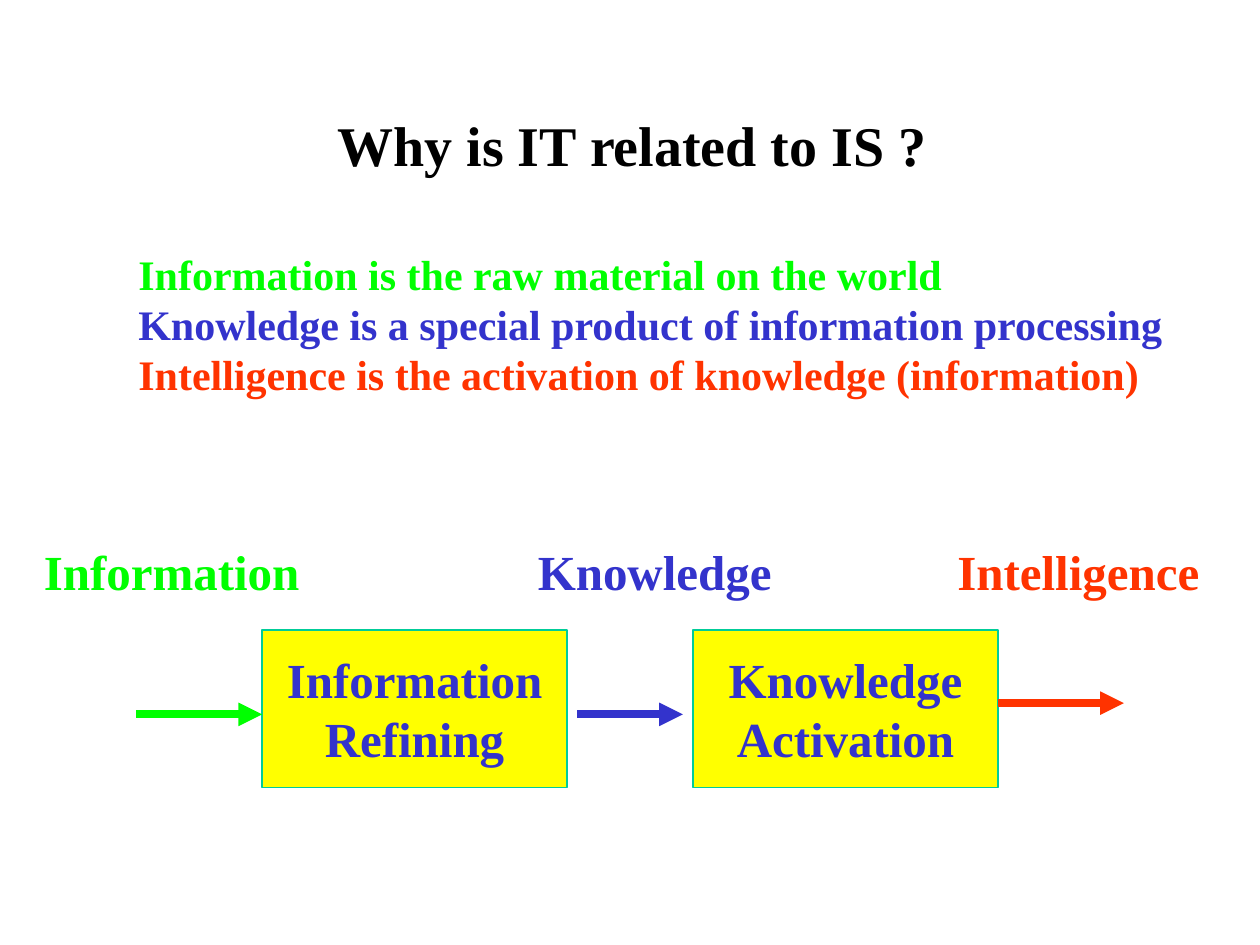
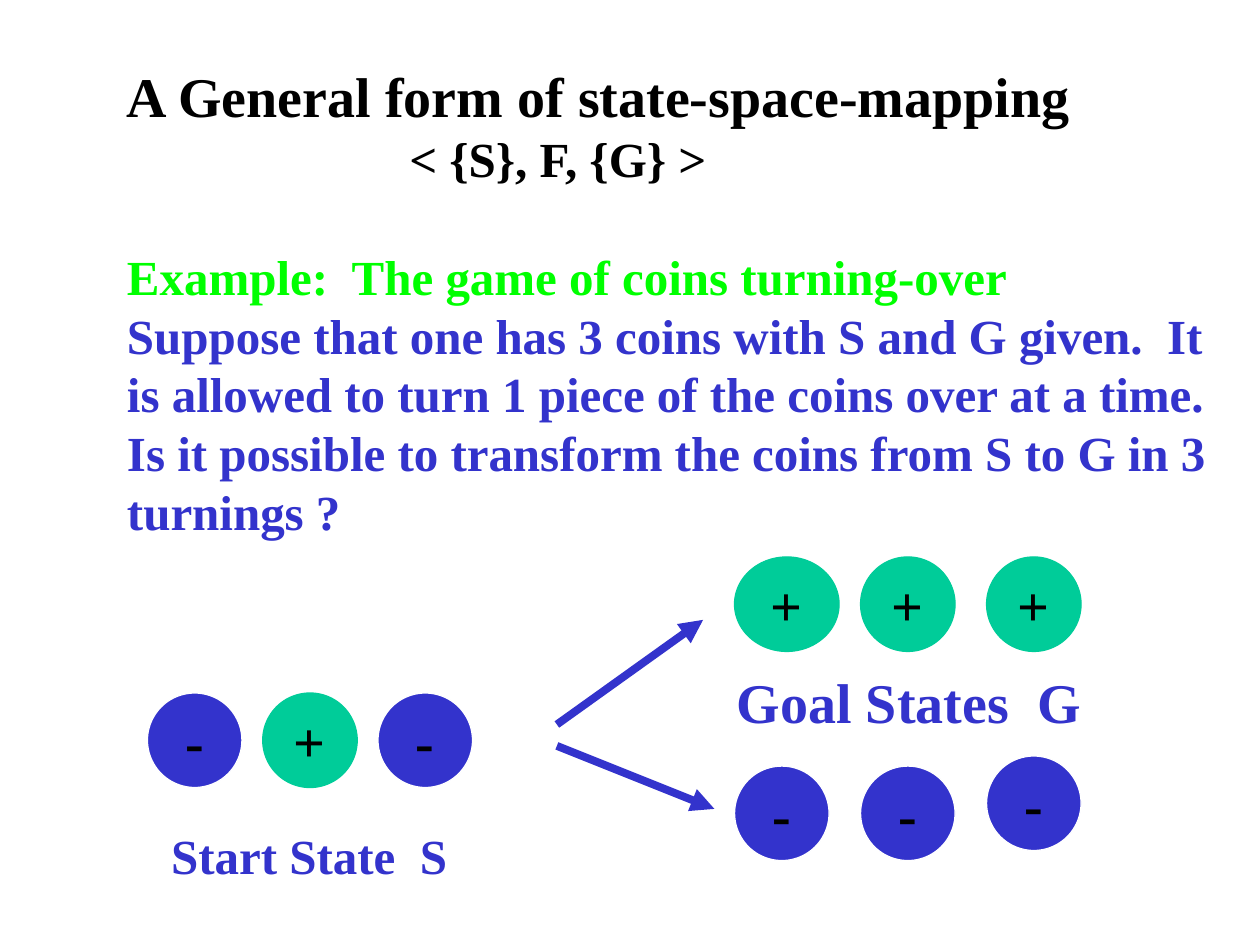
from dataclasses import dataclass

from lxml import etree
from pptx import Presentation
from pptx.dml.color import RGBColor
from pptx.enum.shapes import MSO_CONNECTOR, MSO_SHAPE
from pptx.enum.text import MSO_ANCHOR, MSO_AUTO_SIZE, PP_ALIGN
from pptx.oxml.ns import qn
from pptx.util import Inches, Pt

RECTANGLE, OVAL = MSO_SHAPE.RECTANGLE, MSO_SHAPE.OVAL
STRAIGHT = MSO_CONNECTOR.STRAIGHT
LEFT, CENTER = PP_ALIGN.LEFT, PP_ALIGN.CENTER
MIDDLE = MSO_ANCHOR.MIDDLE
GROW = MSO_AUTO_SIZE.SHAPE_TO_FIT_TEXT


@dataclass(frozen=True)
class Theme:
    font: str = "Times New Roman"
    black: str = "000000"
    white: str = "FFFFFF"
    green: str = "00FF00"
    blue: str = "3333CC"
    red: str = "FF3300"
    yellow: str = "FFFF00"
    teal: str = "00CC99"
    title_size: int = 32
    label_size: int = 28
    body_size: int = 24
    outline: float = 0.75
    arrow: float = 4.5


THEME = Theme()
TITLE = {"size": THEME.title_size, "color": THEME.black}
LABEL = {"size": THEME.label_size, "color": THEME.blue}

# Slide 1: each paragraph is (text, format)
RELATION_TITLE = [("Why is IT related to IS ?", TITLE)]
DEFINITIONS = [
    (text, {"size": THEME.body_size, "color": color}) for text, color in (
        ("Information is the raw material on the world", THEME.green),
        ("Knowledge is a special product of information processing", THEME.blue),
        ("Intelligence is the activation of knowledge (information)", THEME.red),
    )
]
# text, color, left, width
STAGES = [
    ("Information", THEME.green, 0.25, 2.25),
    ("Knowledge", THEME.blue, 4.17, 2.1),
    ("Intelligence", THEME.red, 7.5, 2.15),
]
STAGE_TOP, STAGE_HEIGHT = 4.25, 0.57
# lines, left
PROCESSES = [
    (("Information", "Refining"), 2.08),
    (("Knowledge", "Activation"), 5.5),
]
PROCESS_TOP, PROCESS_WIDTH, PROCESS_HEIGHT = 5, 2.42, 1.25
# color, start, end
FLOWS = [
    (THEME.green, (1.08, 5.67), (2.08, 5.67)),
    (THEME.blue, (4.58, 5.67), (5.42, 5.67)),
    (THEME.red, (7.92, 5.58), (8.92, 5.58)),
]

# Slide 2
MAPPING_TEXT = [
    ("A General form of state-space-mapping", TITLE),
    ("< {S}, F, {G} >", {**LABEL, "color": THEME.black, "indent": 2.24}),
    ("Example:  The game of coins turning-over",
     {**LABEL, "color": THEME.green, "before": 33.5}),
    ("Suppose that one has 3 coins with S and G given.  It is allowed to turn "
     "1 piece of the coins over at a time. Is it possible to transform the "
     "coins from S to G in 3 turnings ?", LABEL),
]
# faces, left, step, top of each coin, width of the first coin
COIN_ROWS = [
    ("-+-", 1.17, 0.915, (5.5, 5.5, 5.5), 0.75),
    ("+++", 5.83, 1, (4.42, 4.42, 4.42), 0.83),
    ("---", 5.83, 1, (6.08, 6.08, 6), 0.75),
]
COIN_SIZE = 0.75
COIN_COLORS = {"+": (THEME.teal, THEME.teal), "-": (THEME.blue, THEME.white)}
MAPPINGS = [((4.42, 5.75), (5.58, 4.92)), ((4.42, 5.92), (5.67, 6.42))]
STATE_LABELS = [
    ("Start State  S", LABEL, (1.26, 6.5, 2.39, 0.57)),
    ("Goal States  G", {**LABEL, "size": THEME.title_size}, (5.75, 5.25, 2.93, 0.64)),
]


def rgb(color):
    return RGBColor.from_string(color)


def write(frame, text, *, size, color, align=LEFT, indent=0, before=0, first=False):
    para = frame.paragraphs[0] if first else frame.add_paragraph()
    para.alignment = align
    if indent:
        para._p.get_or_add_pPr().set("marL", str(Inches(indent)))
    if before:
        para.space_before = Pt(before)
    span = para.add_run()
    span.text = text
    span.font.name = THEME.font
    span.font.size = Pt(size)
    span.font.bold = True
    span.font.color.rgb = rgb(color)


def fill_frame(frame, paragraphs, wrap=False):
    frame.word_wrap = wrap
    for index, (text, style) in enumerate(paragraphs):
        write(frame, text, first=index == 0, **style)


def add_text(page, paragraphs, place, wrap=False):
    box = page.shapes.add_textbox(*map(Inches, place))
    box.text_frame.auto_size = GROW
    fill_frame(box.text_frame, paragraphs, wrap)


def add_figure(page, kind, paragraphs, place, fill, outline):
    shape = page.shapes.add_shape(kind, *map(Inches, place))
    shape.shadow.inherit = False
    shape.fill.solid()
    shape.fill.fore_color.rgb = rgb(fill)
    shape.line.color.rgb = rgb(outline)
    shape.line.width = Pt(THEME.outline)
    shape.text_frame.vertical_anchor = MIDDLE
    fill_frame(shape.text_frame,
               [(text, {**style, "align": CENTER}) for text, style in paragraphs])


def add_arrow(page, start, end, color):
    arrow = page.shapes.add_connector(STRAIGHT, *map(Inches, start + end))
    arrow.line.color.rgb = rgb(color)
    arrow.line.width = Pt(THEME.arrow)
    etree.SubElement(arrow.line._get_or_add_ln(), qn("a:tailEnd"), type="triangle")
    etree.SubElement(arrow._element.spPr, qn("a:effectLst"))


def build_relation(page):
    add_text(page, RELATION_TITLE, (2.58, 0.83, 4.9, 0.64))
    add_text(page, DEFINITIONS, (1, 1.92, 8.34, 1.3))
    for lines, left in PROCESSES:
        add_figure(page, RECTANGLE, [(line, LABEL) for line in lines],
                   (left, PROCESS_TOP, PROCESS_WIDTH, PROCESS_HEIGHT),
                   THEME.yellow, THEME.teal)
    for color, start, end in FLOWS:
        add_arrow(page, start, end, color)
    for text, color, left, width in STAGES:
        add_text(page, [(text, {**LABEL, "color": color})],
                 (left, STAGE_TOP, width, STAGE_HEIGHT))


def build_mapping(page):
    add_text(page, MAPPING_TEXT, (0.91, 0.44, 8.8, 3.9), wrap=True)
    for faces, left, step, tops, first_width in COIN_ROWS:
        for index, (face, top) in enumerate(zip(faces, tops)):
            width = COIN_SIZE if index else first_width
            add_figure(page, OVAL, [(face, TITLE)],
                       (left + index * step, top, width, COIN_SIZE),
                       *COIN_COLORS[face])
    for start, end in MAPPINGS:
        add_arrow(page, start, end, THEME.blue)
    for text, style, place in STATE_LABELS:
        add_text(page, [(text, style)], place)


def main():
    deck = Presentation()
    deck.slide_width, deck.slide_height = Inches(10), Inches(7.5)
    blank = deck.slide_layouts[6]
    for build in (build_relation, build_mapping):
        build(deck.slides.add_slide(blank))
    deck.save("out.pptx")


if __name__ == "__main__":
    main()
